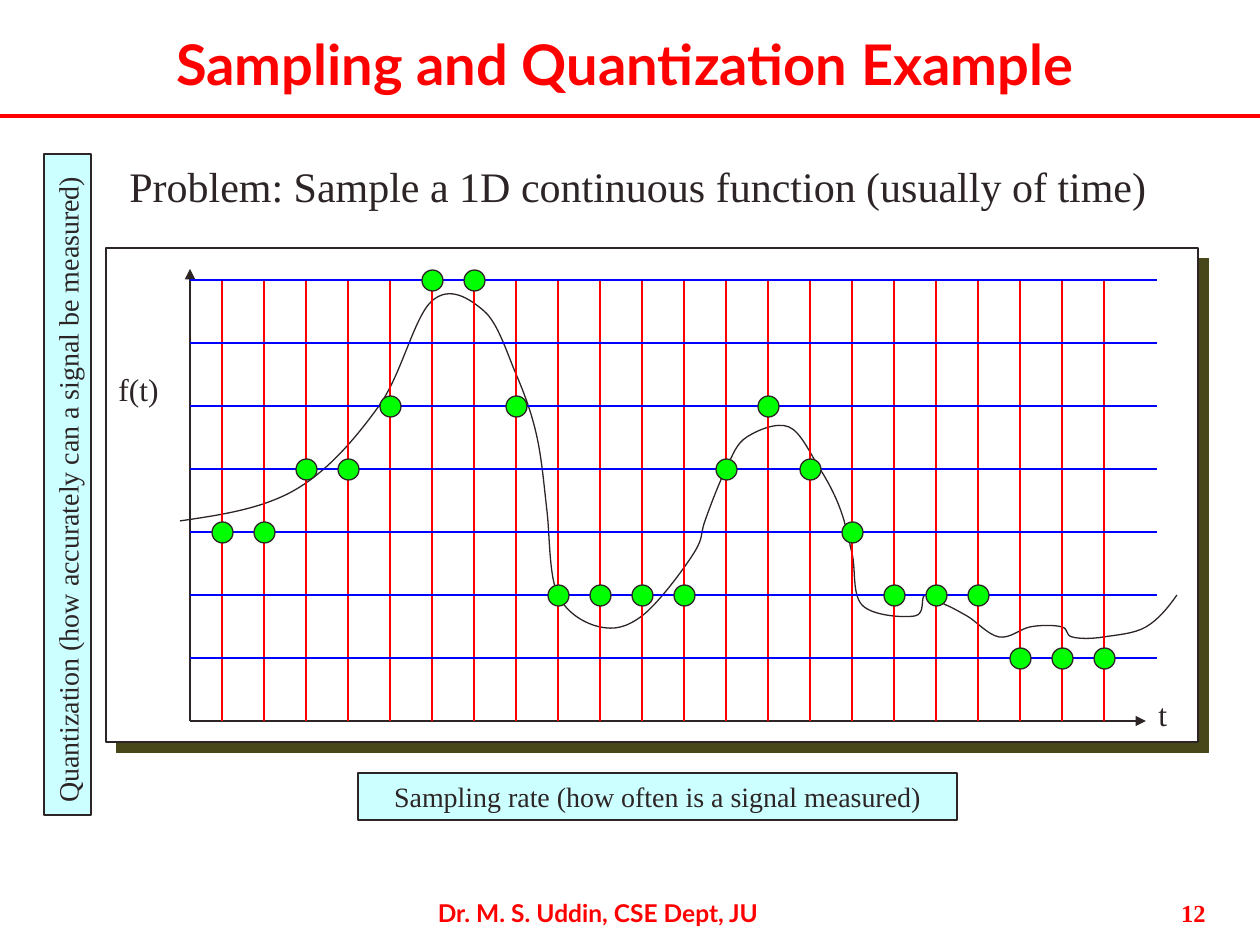
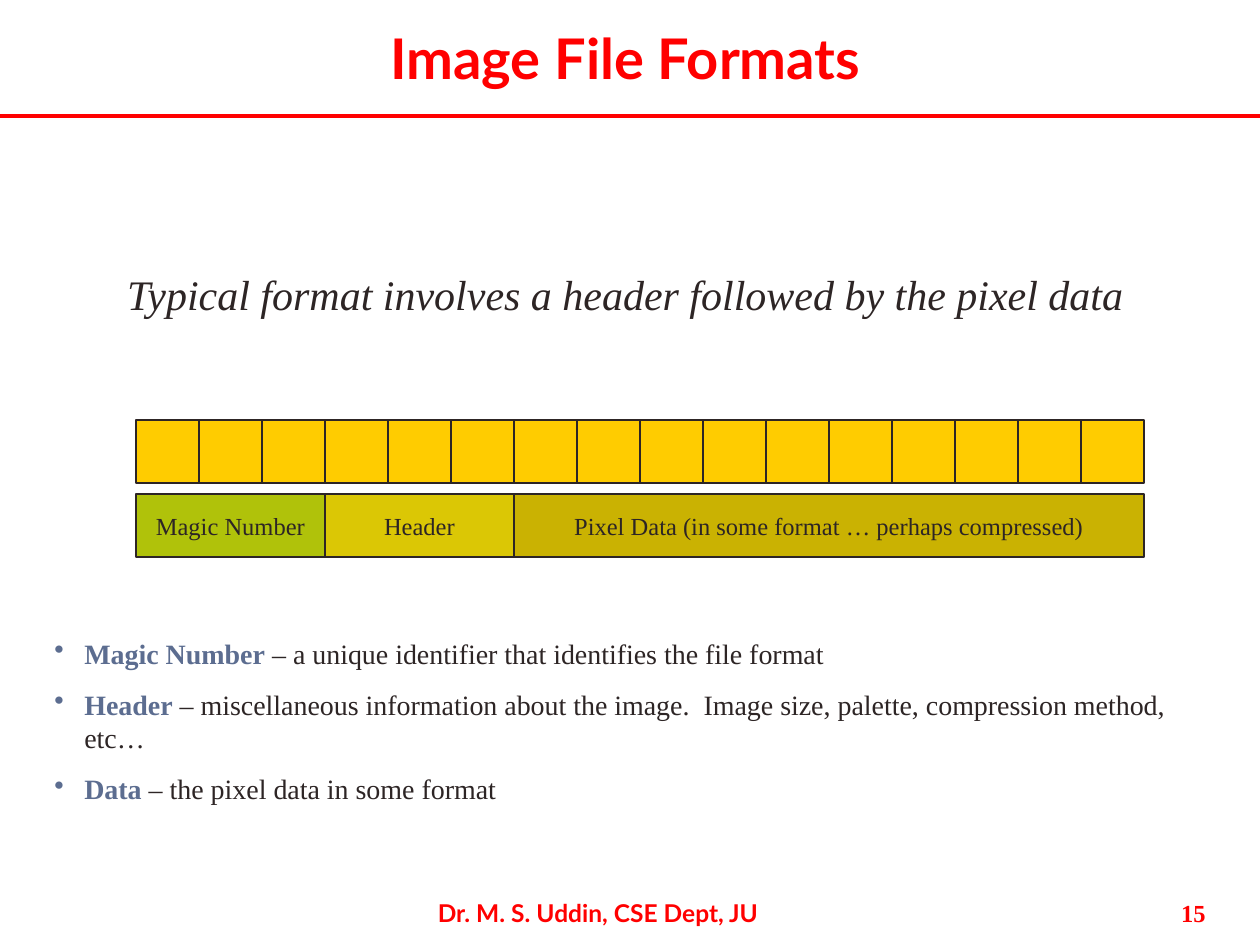
from lxml import etree
from pptx import Presentation
from pptx import util as u
from pptx.dml.color import RGBColor
from pptx.enum import shapes, text
from pptx.oxml import ns

PX = 914400 / 126
RED, INK, BLUE, GREEN = "FF0000", "2D2525", "0000FF", "00FF00"
PALE, SLATE, GOLD, OLIVE = "CCFFFF", "5C6D90", "FFCC00", "484719"
SANS, SERIF = "Lato", "Times New Roman"
LEFT, MID, RIGHT = text.PP_ALIGN.LEFT, text.PP_ALIGN.CENTER, text.PP_ALIGN.RIGHT

LEVELS = [4, 4, 3, 3, 2, 0, 0, 2, 5, 5, 5, 5, 3, 2, 3, 4, 5, 5, 5, 6, 6, 6]
KNOTS = [
    (180, 521), (295, 490), (379, 406), (432, 301), (484, 311), (516, 374),
    (537, 437), (547, 511), (558, 595), (600, 627), (642, 616), (694, 553),
    (705, 521), (726, 469), (747, 437), (789, 427), (820, 469), (841, 511),
    (852, 553), (862, 605), (915, 616), (925, 595), (946, 605), (967, 616),
    (999, 637), (1030, 627), (1062, 627), (1072, 637), (1104, 637),
    (1146, 627), (1177, 595),
]
PARTS = [
    ("Magic Number", 3, "B0C20A"),
    ("Header", 3, "DBC705"),
    ("Pixel Data (in some format … perhaps compressed)", 10, "CAB202"),
]
NOTES = [
    ("Magic Number", " – a unique identifier that identifies the file format"),
    ("Header", " – miscellaneous information about the image.  Image size, "
               "palette, compression method, etc…"),
    ("Data", " – the pixel data in some format"),
]


def px(*nums):
    return [u.Emu(round(n * PX)) for n in nums]


def rgb(code):
    return RGBColor.from_string(code)


def node(base, tag, **attrs):
    item = etree.SubElement(base, ns.qn("a:" + tag))
    for key, val in attrs.items():
        item.set(key, str(val))
    return item


def write(para, words, size=16, font=SERIF, color=INK, align=LEFT, bold=False, italic=False):
    para.alignment = align
    run = para.add_run()
    run.text = words
    face = run.font
    face.size, face.name, face.bold, face.italic = u.Pt(size), font, bold, italic
    face.color.rgb = rgb(color)


def handles(knots):
    """Return the tangent at each knot of a smooth curve."""
    tans = [((c[0] - a[0]) / 6, (c[1] - a[1]) / 6) for a, c in zip(knots, knots[2:])]

    def end(a, b, tan):
        return tuple((q - p - t) / 2 for p, q, t in zip(a, b, tan))

    return [end(knots[0], knots[1], tans[0]), *tans, end(knots[-2], knots[-1], tans[-1])]


class Deck:
    """Holds the shared style and the current slide."""

    def __init__(self):
        self.prs = Presentation()
        self.prs.slide_width, self.prs.slide_height = px(1260, 945)

    def page(self, title, num, high):
        self.slide = self.prs.slides.add_slide(self.prs.slide_layouts[6])
        self.art = self.slide.shapes
        self.line(0, 116, 1260, 116, RED, 2.25)
        self.label("Dr. M. S. Uddin, CSE Dept, JU", 388, 892, 420, 53,
                   size=14, font=SANS, color=RED, align=MID, bold=True)
        self.label(str(num), 1008, 892, 210, 53, size=14, color=RED, align=RIGHT, bold=True)
        head = self.label(title, 32, 21, 1187, high,
                          size=32, font=SANS, color=RED, align=MID, bold=True)
        head.vertical_anchor = text.MSO_ANCHOR.MIDDLE

    def frame(self, x, y, w, h):
        area = self.art.add_textbox(*px(x, y, w, h)).text_frame
        area.word_wrap = True
        return area

    def label(self, words, x, y, w, h, **style):
        area = self.frame(x, y, w, h)
        write(area.paragraphs[0], words, **style)
        return area

    def line(self, x1, y1, x2, y2, color=INK, width=0.75, arrow=False):
        link = self.art.add_connector(shapes.MSO_CONNECTOR.STRAIGHT, *px(x1, y1, x2, y2))
        link.line.color.rgb = rgb(color)
        link.line.width = u.Pt(width)
        if arrow:
            node(link.line._get_or_add_ln(), "tailEnd", type="triangle")
        node(link._element.spPr, "effectLst")
        return link

    def shape(self, x, y, w, h, fill, words="", kind="RECTANGLE", width=0.75, **style):
        item = self.art.add_shape(getattr(shapes.MSO_SHAPE, kind), *px(x, y, w, h))
        item.shadow.inherit = False
        item.fill.solid()
        item.fill.fore_color.rgb = rgb(fill)
        item.line.color.rgb = rgb(INK)
        item.line.width = u.Pt(width)
        if words:
            item.text_frame.word_wrap = True
            write(item.text_frame.paragraphs[0], words, **style)
        return item

    def shade(self, item, color):
        effect = item._element.spPr.find(ns.qn("a:effectLst"))
        cast = node(effect, "outerShdw", dist=u.Pt(8.5), dir=45 * 60000,
                    algn="ctr", rotWithShape=0)
        node(cast, "srgbClr", val=color)

    def curve(self, knots):
        tans, spots = handles(knots), []
        for a, b, s, t in zip(knots, knots[1:], tans, tans[1:]):
            spots += [(a[0] + s[0], a[1] + s[1]), (b[0] - t[0], b[1] - t[1]), b]
        pen = self.art.build_freeform(*knots[0], scale=PX)
        pen.add_line_segments(spots, close=False)
        item = pen.convert_to_shape()
        item.shadow.inherit = False
        item.fill.background()
        item.line.color.rgb = rgb(INK)
        item.line.width = u.Pt(0.75)
        steps = list(item._element.iter(ns.qn("a:lnTo")))
        for i in range(0, len(steps), 3):
            bend = etree.Element(ns.qn("a:cubicBezTo"))
            steps[i].addprevious(bend)
            for step in steps[i:i + 3]:
                bend.append(step[0])
                step.getparent().remove(step)

    def bullets(self, notes, x, y, w, h):
        area = self.frame(x, y, w, h)
        for i, (term, rest) in enumerate(notes):
            para = area.add_paragraph() if i else area.paragraphs[0]
            props = para._p.get_or_add_pPr()
            hang = px(30)[0]
            props.set("marL", str(hang))
            props.set("indent", str(-hang))
            node(node(props, "buClr"), "srgbClr", val=SLATE)
            node(props, "buChar", char="•")
            if i:
                para.space_before = u.Pt(10)
            write(para, term, color=SLATE, bold=True)
            write(para, rest)


def sampling(deck):
    deck.page("Sampling and Quantization Example", 12, 84)
    panel = deck.shape(106, 248, 1092, 494, "FFFFFF", width=1)
    deck.shade(panel, OLIVE)
    left, top, base, col, row = 190, 280, 721, 42, 63
    deck.line(left, base, left, 269, arrow=True)
    deck.line(left, base, 1146, base, arrow=True)
    deck.label("f(t)", 106, 364, 73, 50, size=18)
    deck.label("t", 1146, 689, 53, 50, size=18)
    deck.label("Problem: Sample a 1D continuous function (usually of time)",
               117, 154, 1081, 63, size=24)
    deck.curve(KNOTS)
    times = [222 + col * i for i in range(len(LEVELS))]
    for x in times:
        deck.line(x, base, x, top, RED)
    for i in reversed(range(7)):
        deck.line(left, top + row * i, 1157, top + row * i, BLUE)
    for x, level in zip(times, LEVELS):
        deck.shape(x - 10, top + row * level - 10, 21, 21, GREEN, kind="OVAL")
    deck.shape(358, 773, 599, 47, PALE,
               "Sampling rate (how often is a signal measured)", align=MID)
    side = deck.shape(-263, 461, 661, 47, PALE,
                      "Quantization (how accurately can a signal be measured)")
    side.rotation = 270


def formats(deck):
    deck.page("Image File Formats", 15, 73)
    deck.label("Typical format involves a header followed by the pixel data",
               32, 262, 1187, 73, size=24, align=MID, italic=True)
    left, top, cell, count = 136, 420, 63, 16
    strip = deck.shape(left, top, cell * count, cell, GOLD)
    for i in range(1, count):
        x = left + cell * i
        rule = deck.line(x, top, x, top + cell)
        if i == count // 2:
            rule.begin_connect(strip, 0)
            rule.end_connect(strip, 2)
    x = left
    for words, cells, fill in PARTS:
        deck.shape(x, 494, cell * cells, cell, fill, words, size=14, align=MID)
        x += cell * cells
    deck.bullets(NOTES, 42, 630, 1197, 149)


def main():
    deck = Deck()
    sampling(deck)
    formats(deck)
    deck.prs.save("out.pptx")


if __name__ == "__main__":
    main()
